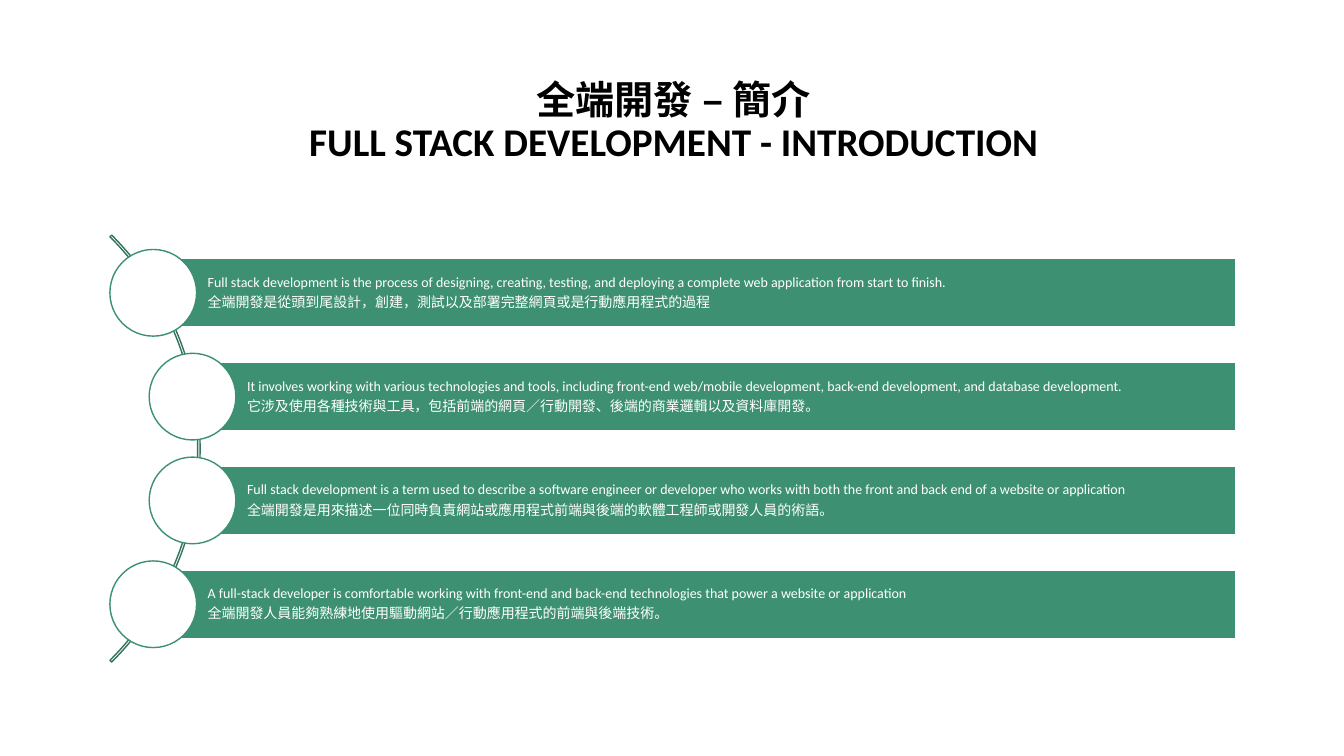
from pptx import Presentation
from pptx.dml.color import RGBColor
from pptx.enum.shapes import MSO_SHAPE
from pptx.enum.text import MSO_ANCHOR, PP_ALIGN
from pptx.util import Inches, Pt

BLACK = RGBColor(0x00, 0x00, 0x00)
WHITE = RGBColor(0xFF, 0xFF, 0xFF)
GREEN = RGBColor(0x3D, 0x90, 0x72)
DARK_GREEN = RGBColor(0x31, 0x73, 0x5B)

ARC_CENTER_X, ARC_CENTER_Y, ARC_SIZE = -1.01, 4.45, 5.99
ROW_PITCH = 1.03
BAR_RIGHT, BAR_HEIGHT = 12.26, 0.68
CIRCLE_SIZE = 0.86
OUTER_COLUMN, INNER_COLUMN = 1.52, 1.91

TITLE_FONT = {"name": "Calibri", "size": Pt(28), "bold": True}
BODY_FONT = {"name": "Calibri", "size": Pt(10), "bold": False}
TITLE_PARAGRAPH = {"alignment": PP_ALIGN.CENTER, "line_spacing": 0.9}
BODY_PARAGRAPH = {"alignment": PP_ALIGN.LEFT, "line_spacing": 0.9, "space_after": Pt(3.5)}
TITLE_FRAME = {"word_wrap": True, "vertical_anchor": MSO_ANCHOR.MIDDLE}
BODY_FRAME = {
    **TITLE_FRAME,
    "margin_left": Inches(0.54),
    "margin_top": Inches(0.03),
    "margin_right": Inches(0.03),
    "margin_bottom": Inches(0.03),
}

TITLE_LINES = ("全端開發 – 簡介", "FULL STACK DEVELOPMENT - INTRODUCTION")
POINTS = [
    (OUTER_COLUMN,
     "Full stack development is the process of designing, creating, testing, and deploying a complete web application from start to finish.",
     "全端開發是從頭到尾設計，創建，測試以及部署完整網頁或是行動應用程式的過程"),
    (INNER_COLUMN,
     "It involves working with various technologies and tools, including front-end web/mobile development, back-end development, and database development.",
     "它涉及使用各種技術與工具，包括前端的網頁／行動開發、後端的商業邏輯以及資料庫開發。"),
    (INNER_COLUMN,
     "Full stack development is a term used to describe a software engineer or developer who works with both the front and back end of a website or application",
     "全端開發是用來描述一位同時負責網站或應用程式前端與後端的軟體工程師或開發人員的術語。"),
    (OUTER_COLUMN,
     "A full-stack developer is comfortable working with front-end and back-end technologies that power a website or application",
     "全端開發人員能夠熟練地使用驅動網站／行動應用程式的前端與後端技術。"),
]


def apply_format(target, values):
    for name, value in values.items():
        setattr(target, name, value)


def add_run(paragraph, text, font, color):
    run = paragraph.add_run()
    run.text = text
    apply_format(run.font, font)
    run.font.color.rgb = color


def add_figure(shapes, preset, left, center_y, width, height, fill, line):
    figure = shapes.add_shape(
        preset, Inches(left), Inches(center_y - height / 2), Inches(width), Inches(height))
    figure.shadow.inherit = False
    if fill is None:
        figure.fill.background()
    else:
        figure.fill.solid()
        figure.fill.fore_color.rgb = fill
    figure.line.color.rgb = line
    figure.line.width = Pt(1)
    return figure


def add_title(shapes):
    title = shapes.add_textbox(Inches(1.67), Inches(0.6), Inches(10.02), Inches(1.24))
    apply_format(title.text_frame, TITLE_FRAME)
    heading = title.text_frame.paragraphs[0]
    apply_format(heading, TITLE_PARAGRAPH)
    chinese, english = TITLE_LINES
    add_run(heading, chinese, TITLE_FONT, BLACK)
    heading.add_line_break()
    add_run(heading, english, TITLE_FONT, BLACK)


def add_arc(shapes):
    arc = add_figure(shapes, MSO_SHAPE.BLOCK_ARC, ARC_CENTER_X - ARC_SIZE / 2, ARC_CENTER_Y,
                     ARC_SIZE, ARC_SIZE, None, DARK_GREEN)
    for index, value in enumerate((189, 27, 0.004)):
        arc.adjustments[index] = value


def add_point(shapes, column, center_y, sentences):
    bar = add_figure(shapes, MSO_SHAPE.RECTANGLE, column, center_y,
                     BAR_RIGHT - column, BAR_HEIGHT, GREEN, WHITE)
    frame = bar.text_frame
    apply_format(frame, BODY_FRAME)
    for index, sentence in enumerate(sentences):
        paragraph = frame.add_paragraph() if index else frame.paragraphs[0]
        apply_format(paragraph, BODY_PARAGRAPH)
        add_run(paragraph, sentence, BODY_FONT, WHITE)
    add_figure(shapes, MSO_SHAPE.OVAL, column - CIRCLE_SIZE / 2, center_y,
               CIRCLE_SIZE, CIRCLE_SIZE, WHITE, GREEN)


def main():
    deck = Presentation()
    deck.slide_width, deck.slide_height = Inches(13.33), Inches(7.5)
    slide = deck.slides.add_slide(deck.slide_layouts[6])
    add_title(slide.shapes)
    diagram = slide.shapes.add_group_shape().shapes
    add_arc(diagram)
    for row, (column, *sentences) in enumerate(POINTS):
        center_y = ARC_CENTER_Y + (row - (len(POINTS) - 1) / 2) * ROW_PITCH
        add_point(diagram, column, center_y, sentences)
    deck.save("out.pptx")


if __name__ == "__main__":
    main()
